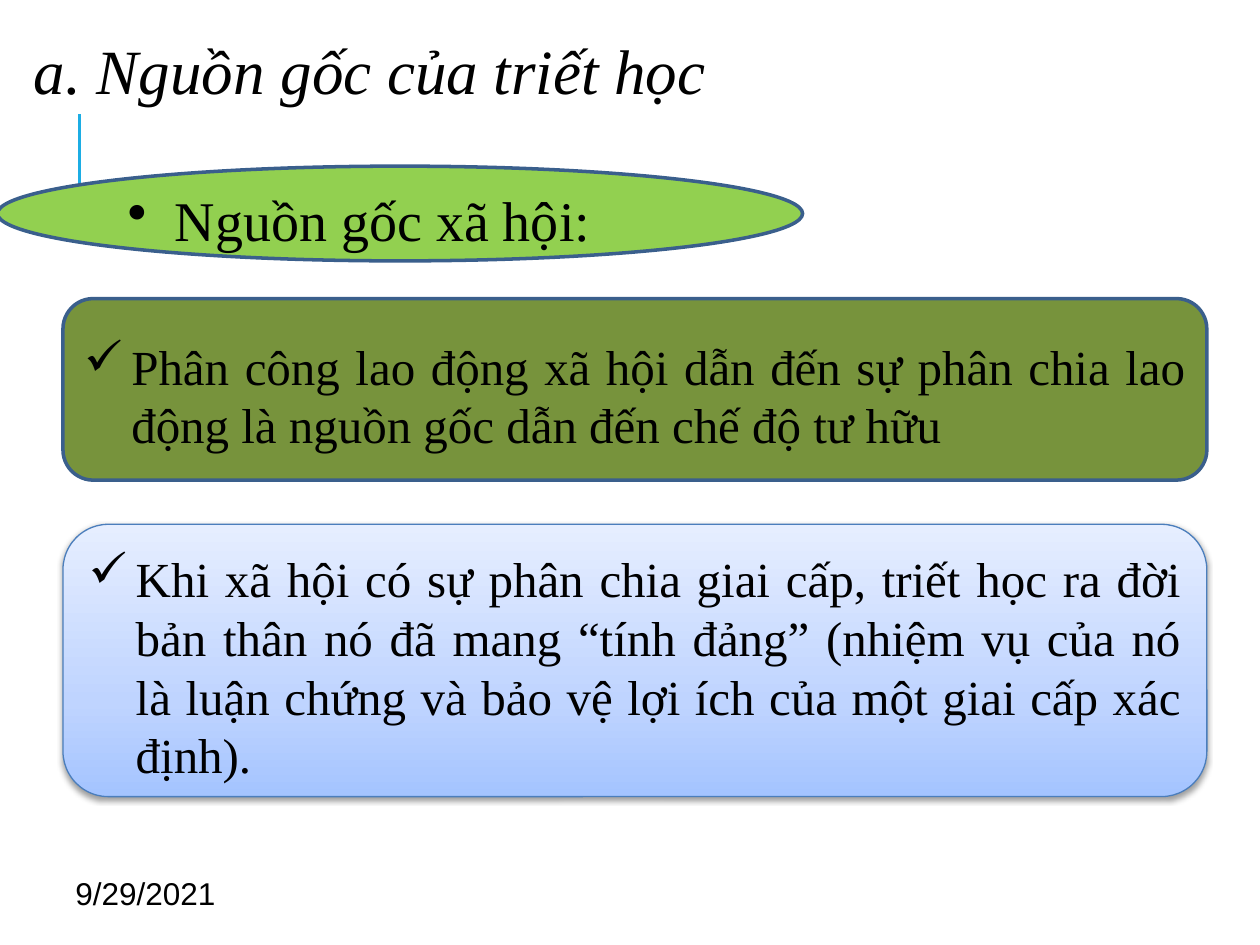
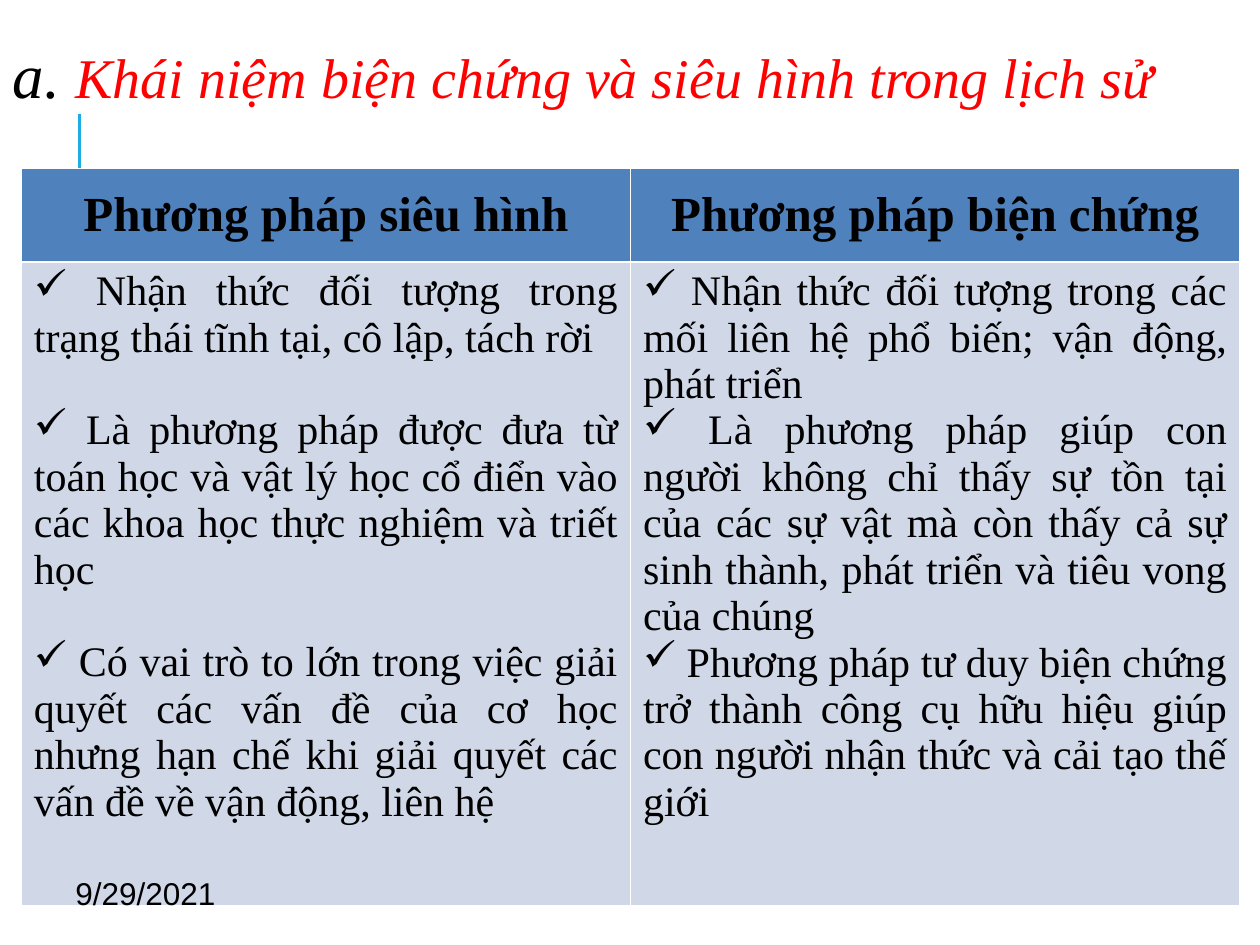
"""Builds two philosophy slides: social origins, and a comparison of two methods."""
import copy

import pptx
import pptx.dml.color
import pptx.enum.shapes
import pptx.enum.text
import pptx.oxml.ns
import pptx.util
from lxml import etree

Cm = pptx.util.Cm
Pt = pptx.util.Pt
RGBColor = pptx.dml.color.RGBColor
SHAPE = pptx.enum.shapes.MSO_SHAPE
ALIGN = pptx.enum.text.PP_ALIGN
MIDDLE = pptx.enum.text.MSO_ANCHOR.MIDDLE
qn = pptx.oxml.ns.qn

BLACK = RGBColor(0x00, 0x00, 0x00)
WHITE = RGBColor(0xFF, 0xFF, 0xFF)
RED = RGBColor(0xFF, 0x00, 0x00)
CYAN = RGBColor(0x1C, 0xAD, 0xE4)
LIME = RGBColor(0x92, 0xD0, 0x50)
OLIVE = RGBColor(0x77, 0x93, 0x3C)
OUTLINE = RGBColor(0x3A, 0x5F, 0x8C)
SOFT_OUTLINE = RGBColor(0x4B, 0x7E, 0xBC)
HEADER_BLUE = RGBColor(0x4F, 0x81, 0xBD)
CELL_BLUE = RGBColor(0xD0, 0xD8, 0xE8)
GRADIENT = [
    (0, RGBColor(0xA4, 0xC4, 0xFF)),
    (0.35, RGBColor(0xBF, 0xD4, 0xFF)),
    (1, RGBColor(0xE6, 0xEE, 0xFF)),
]
SERIF = "Times New Roman"
SANS = "Arial"


def add_run(paragraph, text, size, color=BLACK, font=SERIF, bold=False, italic=False):
    run = paragraph.add_run()
    run.text = text
    run.font.size = Pt(size)
    run.font.name = font
    run.font.color.rgb = color
    run.font.bold = bold
    run.font.italic = italic


def add_bullet(paragraph, mark, indent):
    properties = paragraph._p.get_or_add_pPr()
    properties.set("marL", str(indent))
    properties.set("indent", str(-indent))
    etree.SubElement(properties, qn("a:buChar"), char=mark)


prs = pptx.Presentation()
prs.slide_width = Cm(25.4)
prs.slide_height = Cm(19.05)

headings = [
    ((0.43, 0.43, 24.77, 2.11), [("a. Nguồn gốc của triết học", 36, BLACK)]),
    ((0, 0.2, 25.4, 2.74), [
        ("a. ", 36, BLACK),
        ("Khái niệm biện chứng và siêu hình trong lịch sử", 32, RED),
    ]),
]
for place, parts in headings:
    slide = prs.slides.add_slide(prs.slide_layouts[5])
    title = slide.shapes.title
    title.left, title.top, title.width, title.height = map(Cm, place)
    title.text_frame.auto_size = pptx.enum.text.MSO_AUTO_SIZE.NONE
    title.text_frame.vertical_anchor = MIDDLE
    heading = title.text_frame.paragraphs[0]
    heading.alignment = ALIGN.LEFT
    heading.line_spacing = 0.9
    for text, size, color in parts:
        add_run(heading, text, size, color, italic=True)
    accent = slide.shapes.add_connector(
        pptx.enum.shapes.MSO_CONNECTOR.STRAIGHT, Cm(1.6), Cm(4.83), Cm(1.6), Cm(2.29))
    accent.line.color.rgb = CYAN
    accent.line.width = Pt(1.5)
    etree.SubElement(accent._element.spPr, qn("a:effectLst"))

origins, methods = prs.slides

statements = [
    (SHAPE.OVAL, (-0.05, 3.35, 16.23, 1.91), LIME, "•", 32, ALIGN.LEFT,
     "Nguồn gốc xã hội:"),
    (SHAPE.ROUNDED_RECTANGLE, (1.27, 6.02, 23.06, 3.66), OLIVE, "✓", 28, ALIGN.JUSTIFY,
     "Phân công lao động xã hội dẫn đến sự phân chia lao động là nguồn gốc "
     "dẫn đến chế độ tư hữu"),
    (SHAPE.ROUNDED_RECTANGLE, (1.27, 10.57, 23.06, 5.49), None, "✓", 28, ALIGN.JUSTIFY,
     "Khi xã hội có sự phân chia giai cấp, triết học ra đời bản thân nó đã mang "
     "“tính đảng” (nhiệm vụ của nó là luận chứng và bảo vệ lợi ích của một giai cấp "
     "xác định)."),
]
for outline, place, color, mark, size, alignment, text in statements:
    panel = origins.shapes.add_shape(outline, *map(Cm, place))
    panel.shadow.inherit = False
    if color is not None:
        panel.fill.solid()
        panel.fill.fore_color.rgb = color
        panel.line.color.rgb = OUTLINE
        panel.line.width = Pt(2)
    else:
        panel.fill.gradient()
        panel.fill.gradient_angle = 90
        stop_list = panel._element.spPr.find(".//" + qn("a:gsLst"))
        stop_list.append(copy.deepcopy(stop_list[-1]))
        for stop, (position, shade) in zip(panel.fill.gradient_stops, GRADIENT):
            stop.position = position
            stop.color.rgb = shade
        panel.line.color.rgb = SOFT_OUTLINE
        panel.line.width = Pt(0.75)
        shadow = etree.SubElement(
            panel._element.spPr.find(qn("a:effectLst")), qn("a:outerShdw"),
            blurRad=str(Pt(3.1)), dist=str(Pt(1.6)), dir="5400000", rotWithShape="0")
        shadow_color = etree.SubElement(shadow, qn("a:srgbClr"), val=str(BLACK))
        etree.SubElement(shadow_color, qn("a:alpha"), val="38000")
    panel.text_frame.word_wrap = True
    panel.text_frame.vertical_anchor = MIDDLE
    panel.text_frame.margin_top = Cm(0.35)
    statement = panel.text_frame.paragraphs[0]
    statement.alignment = alignment
    add_bullet(statement, mark, Cm(0.95))
    add_run(statement, text, size)

comparison = [
    ("Phương pháp siêu hình", 26.5, [
        "Nhận thức đối tượng trong trạng thái tĩnh tại, cô lập, tách rời",
        "Là phương pháp được đưa từ toán học và vật lý học cổ điển vào các khoa học "
        "thực nghiệm và triết học",
        "Có vai trò to lớn trong việc giải quyết các vấn đề của cơ học nhưng hạn chế "
        "khi giải quyết các vấn đề về vận động, liên hệ",
    ]),
    ("Phương pháp biện chứng", 0, [
        "Nhận thức đối tượng trong các mối liên hệ phổ biến; vận động, phát triển",
        "Là phương pháp giúp con người không chỉ thấy sự tồn tại của các sự vật mà còn "
        "thấy cả sự sinh thành, phát triển và tiêu vong của chúng",
        "Phương pháp tư duy biện chứng trở thành công cụ hữu hiệu giúp con người nhận "
        "thức và cải tạo thế giới",
    ]),
]
table = methods.shapes.add_table(2, 2, Cm(0.43), Cm(3.4), Cm(24.56), Cm(14.86)).table
table.rows[0].height = Cm(1.88)
table.rows[1].height = Cm(12.98)
for cell in table.iter_cells():
    for side in ("lnL", "lnR", "lnT", "lnB"):
        border = etree.SubElement(
            cell._tc.get_or_add_tcPr(), qn("a:" + side), w=str(Pt(1)))
        border_fill = etree.SubElement(border, qn("a:solidFill"))
        etree.SubElement(border_fill, qn("a:srgbClr"), val=str(WHITE))

for column, (method, gap, points) in enumerate(comparison):
    header, body = table.cell(0, column), table.cell(1, column)
    for cell, color in ((header, HEADER_BLUE), (body, CELL_BLUE)):
        cell.fill.solid()
        cell.fill.fore_color.rgb = color
    header.vertical_anchor = MIDDLE
    method_name = header.text_frame.paragraphs[0]
    method_name.alignment = ALIGN.CENTER
    add_run(method_name, method, 28, bold=True)
    for number, text in enumerate(points):
        point = body.text_frame.add_paragraph() if number else body.text_frame.paragraphs[0]
        point.alignment = ALIGN.JUSTIFY
        add_bullet(point, "✓", 0)
        if number:
            point.space_before = Pt(gap)
        add_run(point, " " + text, 24)

for slide in prs.slides:
    date = slide.shapes.add_textbox(Cm(1.27), Cm(17.35), Cm(5.92), Cm(1.32))
    date.text_frame.word_wrap = True
    date.text_frame.vertical_anchor = MIDDLE
    add_run(date.text_frame.paragraphs[0], "9/29/2021", 18, font=SANS)

prs.save("out.pptx")
